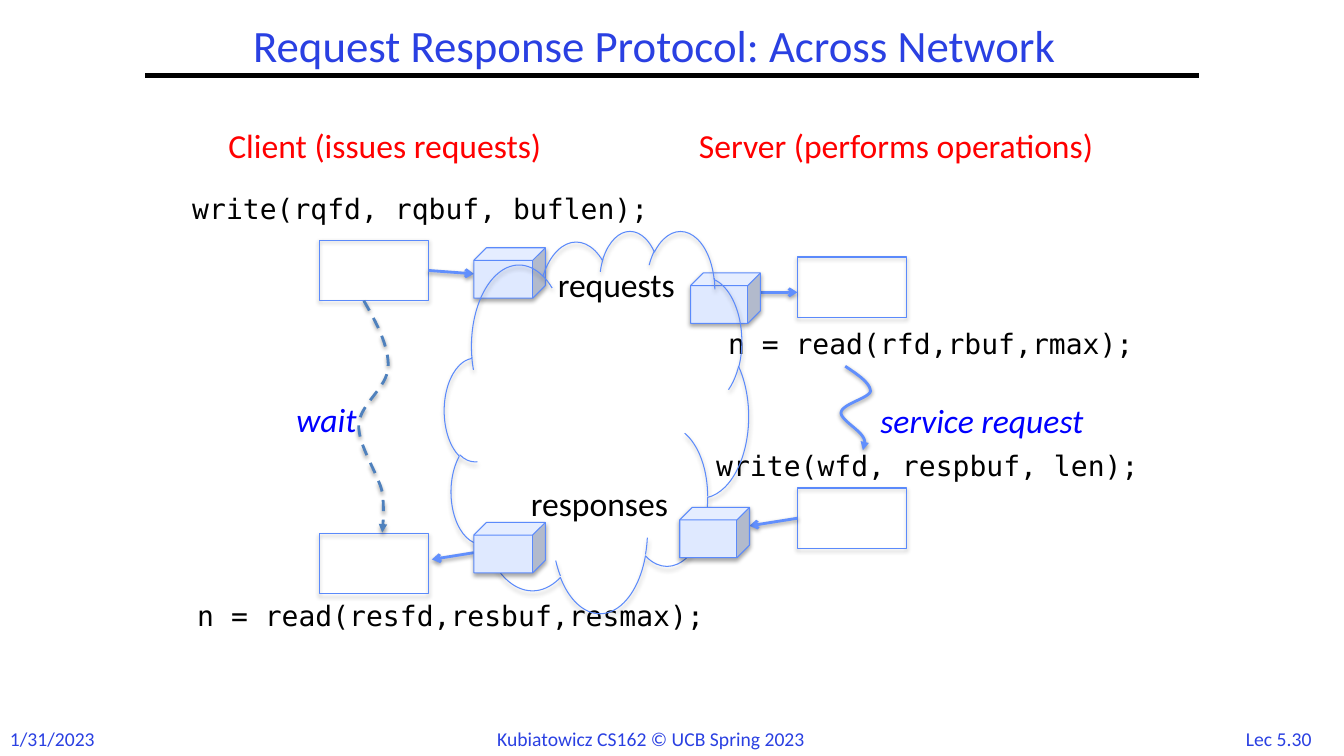
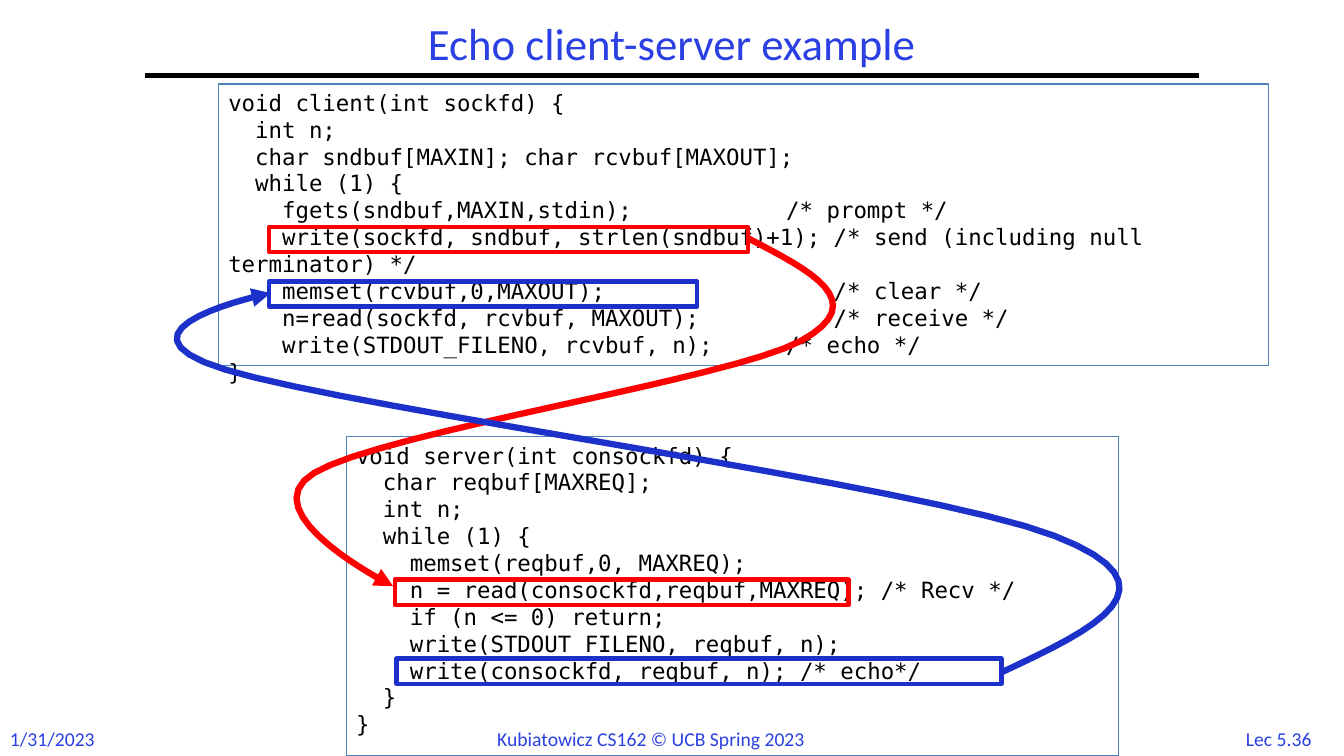
from dataclasses import dataclass
from typing import Optional

from lxml import etree
from pptx import Presentation
from pptx.dml.color import RGBColor
from pptx.enum.dml import MSO_LINE
from pptx.enum.shapes import MSO_CONNECTOR, MSO_SHAPE
from pptx.enum.text import MSO_ANCHOR, MSO_AUTO_SIZE, PP_ALIGN
from pptx.oxml.ns import qn
from pptx.util import Emu, Inches, Pt

LEFT, CENTER, RIGHT = PP_ALIGN.LEFT, PP_ALIGN.CENTER, PP_ALIGN.RIGHT
TOP, MIDDLE = MSO_ANCHOR.TOP, MSO_ANCHOR.MIDDLE
RECTANGLE, CUBE, CLOUD = MSO_SHAPE.RECTANGLE, MSO_SHAPE.CUBE, MSO_SHAPE.CLOUD
STRAIGHT = MSO_CONNECTOR.STRAIGHT
DASH = MSO_LINE.DASH
GROW = MSO_AUTO_SIZE.SHAPE_TO_FIT_TEXT

BLACK = RGBColor(0x00, 0x00, 0x00)
RED = RGBColor(0xFF, 0x00, 0x00)
TITLE_BLUE = RGBColor(0x2A, 0x40, 0xE2)
NOTE_BLUE = RGBColor(0x00, 0x00, 0xFF)
OUTLINE_BLUE = RGBColor(0x5B, 0x8A, 0xFB)
ARROW_BLUE = RGBColor(0x61, 0x8F, 0xFD)
STEEL_BLUE = RGBColor(0x4F, 0x81, 0xBD)
REPLY_BLUE = RGBColor(0x1C, 0x31, 0xCA)
PACKET_FILL = RGBColor(0xDF, 0xE9, 0xFF)

SANS = "Calibri"
MONO = "DejaVu Sans Mono"

SLIDE_WIDTH, SLIDE_HEIGHT = Inches(13.33), Inches(7.5)
GRID_ROWS = 90
CELL = SLIDE_HEIGHT / GRID_ROWS
CURVE_STEPS = 16
TITLE_ONLY = 5

Point = tuple[float, float]


@dataclass(frozen=True)
class Area:
    col: float
    row: float
    cols: float
    rows: float

    def emu(self) -> tuple[Emu, ...]:
        return tuple(grid(n) for n in (self.col, self.row, self.cols, self.rows))


@dataclass(frozen=True)
class TextStyle:
    size: float
    color: RGBColor
    font: str = SANS
    italic: bool = False


@dataclass(frozen=True)
class Label:
    text: str
    area: Area
    style: TextStyle
    align: PP_ALIGN = LEFT
    wrap: bool = False


@dataclass(frozen=True)
class Stroke:
    color: RGBColor
    width: float
    dash: Optional[MSO_LINE] = None
    head: Optional[str] = None


@dataclass(frozen=True)
class Shadow:
    opacity: int
    blur: float
    distance: float


@dataclass(frozen=True)
class Curve:
    points: tuple[Point, ...]
    stroke: Stroke
    shadow: Optional[Shadow] = None


TITLE_STYLE = TextStyle(32, TITLE_BLUE)
FOOTER_STYLE = TextStyle(14, TITLE_BLUE)
ROLE_STYLE = TextStyle(24, RED)
NOTE_STYLE = TextStyle(24, NOTE_BLUE, italic=True)
FLOW_STYLE = TextStyle(24, BLACK)
CALL_STYLE = TextStyle(20, BLACK, MONO)
CODE_STYLE = TextStyle(16, BLACK, MONO)

TITLE_RULE = Stroke(BLACK, 3)
OUTLINE = Stroke(OUTLINE_BLUE, 0.75)
CODE_OUTLINE = Stroke(STEEL_BLUE, 0.75)
MESSAGE = Stroke(ARROW_BLUE, 2, head="arrow")
SHAPE_SHADOW = Shadow(35, 3.1, 1.8)
LINE_SHADOW = Shadow(38, 3.1, 1.6)

REQUEST_PACKETS = (Area(56.4, 29.5, 8.5, 6), Area(82.2, 32.5, 8.3, 6))
RESPONSE_PACKETS = (Area(80.9, 60.4, 8.3, 6), Area(56.4, 62.2, 8.5, 6))
NETWORK = Area(52.9, 27.4, 36.2, 45.5)

CALLS = (
    Label("write(rqfd, rqbuf, buflen);", Area(21.7, 22.2, 58.9, 5.3), CALL_STYLE, wrap=True),
    Label("n = read(rfd,rbuf,rmax); ", Area(79.8, 38.3, 58.3, 5.3), CALL_STYLE, RIGHT, True),
    Label("write(wfd, respbuf, len); ", Area(79.8, 52.8, 58.9, 5.3), CALL_STYLE, RIGHT, True),
    Label("n = read(resfd,resbuf,resmax);", Area(22.3, 70.7, 65.8, 5.3), CALL_STYLE, wrap=True),
)
ROLES = (
    Label("Client (issues requests)", Area(26, 14.3, 44.6, 6), ROLE_STYLE),
    Label("Server (performs operations)", Area(82, 14.3, 54.1, 6), ROLE_STYLE),
)
NOTES = (
    Label("service request", Area(103.6, 47, 29.9, 6), NOTE_STYLE),
    Label("wait", Area(34.1, 46.9, 9.6, 6), NOTE_STYLE),
)
FLOWS = (
    Label("requests", Area(65.2, 30.8, 17.9, 6), FLOW_STYLE),
    Label("responses", Area(62, 56.9, 21.1, 6), FLOW_STYLE),
)
DELAYS = (
    Curve(((100.6, 43.6), (102.1, 44.6), (103.6, 45.6), (103.6, 46.6),
           (103.4, 47.4), (100.2, 48.1), (100.1, 49.1),
           (100, 49.9), (102.2, 51.1), (102.7, 52),
           (103.2, 52.7), (102.7, 53.6), (102.7, 53.6)),
          Stroke(ARROW_BLUE, 2, head="triangle"), LINE_SHADOW),
    Curve(((43.3, 35.8), (44.8, 38.4), (46.3, 41.2), (46.2, 43.7),
           (46.1, 46.2), (42.8, 48.1), (42.7, 50.6),
           (42.6, 53), (45, 56.4), (45.5, 58.6),
           (45.8, 60.7), (45.5, 63.4), (45.5, 63.4)),
          Stroke(STEEL_BLUE, 2, DASH, "triangle"), LINE_SHADOW),
)

CLIENT_CODE = """void client(int sockfd) {
  int n;
  char sndbuf[MAXIN]; char rcvbuf[MAXOUT];
  while (1) {
    fgets(sndbuf,MAXIN,stdin);\t\t    /* prompt */
    write(sockfd, sndbuf, strlen(sndbuf)+1); /* send (including null terminator) */
    memset(rcvbuf,0,MAXOUT);                 /* clear */
    n=read(sockfd, rcvbuf, MAXOUT);          /* receive */
    write(STDOUT_FILENO, rcvbuf, n);\t    /* echo */
}"""
SERVER_CODE = """void server(int consockfd) {
  char reqbuf[MAXREQ];
  int n;
  while (1) {
    memset(reqbuf,0, MAXREQ);
    n = read(consockfd,reqbuf,MAXREQ); /* Recv */
    if (n <= 0) return;
    write(STDOUT_FILENO, reqbuf, n);
    write(consockfd, reqbuf, n); /* echo*/
  }
}"""
LISTINGS = (
    (CLIENT_CODE, Area(26, 10, 125, 33.5)),
    (SERVER_CODE, Area(41.2, 52, 91.9, 37.9)),
)
SEND_PATH = Curve(
    ((88.9, 28.3), (96.4, 32.2), (103.9, 35.9), (95.3, 40.6),
     (86.8, 45.2), (45.6, 51.4), (37.4, 56.3),
     (29.4, 61.1), (46.8, 69.8), (46.8, 69.8)),
    Stroke(RED, 4.5, head="triangle"))
REPLY_PATH = Curve(
    ((119.3, 80), (130.2, 74.9), (141, 69.8), (125.5, 63.8),
     (110, 57.8), (42.4, 48.8), (26.8, 44),
     (11.2, 39.2), (32.2, 34.9), (32.2, 34.9)),
    Stroke(REPLY_BLUE, 4.5, head="triangle"))
EXCHANGES = (
    (SEND_PATH, RED, (Area(32, 27, 57, 3), Area(47, 69, 54, 3))),
    (REPLY_PATH, REPLY_BLUE, (Area(47.2, 78.4, 72, 3), Area(32, 33.5, 51, 3))),
)


def grid(cells: float) -> Emu:
    return Emu(round(cells * CELL))


def style_text(frame, style: TextStyle, align: PP_ALIGN = LEFT) -> None:
    for paragraph in frame.paragraphs:
        paragraph.alignment = align
        for run in paragraph.runs:
            run.font.name = style.font
            run.font.size = Pt(style.size)
            run.font.italic = style.italic
            run.font.color.rgb = style.color


def add_label(slide, label: Label) -> None:
    frame = slide.shapes.add_textbox(*label.area.emu()).text_frame
    frame.text = label.text
    frame.word_wrap = label.wrap
    frame.auto_size = GROW
    style_text(frame, label.style, label.align)


def apply_stroke(outlined, stroke: Stroke) -> None:
    line = outlined.line
    line.color.rgb = stroke.color
    line.width = Pt(stroke.width)
    if stroke.dash:
        line.dash_style = stroke.dash
    if stroke.head:
        outline = outlined._element.spPr.find(qn("a:ln"))
        etree.SubElement(outline, qn("a:tailEnd"), type=stroke.head)


def apply_shadow(outlined, shadow: Optional[Shadow]) -> None:
    effects = etree.SubElement(outlined._element.spPr, qn("a:effectLst"))
    if shadow:
        outer = etree.SubElement(
            effects, qn("a:outerShdw"), blurRad=str(Pt(shadow.blur)),
            dist=str(Pt(shadow.distance)), dir="5400000", rotWithShape="0")
        tint = etree.SubElement(outer, qn("a:srgbClr"), val=str(BLACK))
        etree.SubElement(tint, qn("a:alpha"), val=str(shadow.opacity * 1000))


def add_figure(slide, kind: MSO_SHAPE, area: Area, stroke: Stroke,
               fill: Optional[RGBColor] = None, shadow: Optional[Shadow] = None):
    figure = slide.shapes.add_shape(kind, *area.emu())
    if fill is None:
        figure.fill.background()
    else:
        figure.fill.solid()
        figure.fill.fore_color.rgb = fill
    apply_stroke(figure, stroke)
    apply_shadow(figure, shadow)
    return figure


def add_line(slide, start: Point, end: Point, stroke: Stroke,
             shadow: Optional[Shadow] = None):
    line = slide.shapes.add_connector(STRAIGHT, *(grid(n) for n in (*start, *end)))
    apply_stroke(line, stroke)
    apply_shadow(line, shadow)
    return line


def bezier(points: tuple[Point, ...], t: float) -> Point:
    weights = ((1 - t) ** 3, 3 * t * (1 - t) ** 2, 3 * t * t * (1 - t), t ** 3)
    x, y = (sum(w * p[axis] for w, p in zip(weights, points)) for axis in (0, 1))
    return x, y


def add_curve(slide, curve: Curve) -> None:
    sampled = [
        bezier(curve.points[first:first + 4], step / CURVE_STEPS)
        for first in range(0, len(curve.points) - 1, 3)
        for step in range(1, CURVE_STEPS + 1)
    ]
    start_x, start_y = curve.points[0]
    builder = slide.shapes.build_freeform(grid(start_x), grid(start_y))
    builder.add_line_segments([(grid(x), grid(y)) for x, y in sampled], close=False)
    route = builder.convert_to_shape()
    route.fill.background()
    apply_stroke(route, curve.stroke)
    apply_shadow(route, curve.shadow)


def add_lecture_slide(deck, title: str, area: Area, number: str):
    slide = deck.slides.add_slide(deck.slide_layouts[TITLE_ONLY])
    heading = slide.shapes.title
    heading.left, heading.top, heading.width, heading.height = area.emu()
    frame = heading.text_frame
    frame.text = title
    frame.word_wrap = True
    frame.vertical_anchor = MIDDLE
    frame.paragraphs[0].line_spacing = 0.9
    style_text(frame, TITLE_STYLE, CENTER)
    add_line(slide, (17.3, 9), (142.7, 9), TITLE_RULE)
    for text, col, cols, align in (
        (number, 146.4, 11.6, CENTER),
        ("1/31/2023", 0, 12.8, LEFT),
        ("Kubiatowicz CS162 © UCB Spring 2023", 58, 44.2, LEFT),
    ):
        add_label(slide, Label(text, Area(col, 85.9, cols, 4.1), FOOTER_STYLE, align))
    return slide


def add_packet(slide, area: Area) -> None:
    add_figure(slide, CUBE, area, OUTLINE, PACKET_FILL, SHAPE_SHADOW)


def build_protocol(deck) -> None:
    slide = add_lecture_slide(deck, "Request Response Protocol: Across Network",
                              Area(14.8, 0, 126.2, 11.5), "Lec 5.30")
    for label in CALLS + ROLES:
        add_label(slide, label)
    client_out, server_in, client_in, server_out = (
        add_figure(slide, RECTANGLE, Area(col, row, 13, 7.2), OUTLINE, shadow=SHAPE_SHADOW)
        for col, row in ((38, 28.6), (94.9, 30.6), (38, 63.5), (94.9, 58.1)))
    for start, end, source, side in (
        ((51, 32.2), (56.4, 32.6), client_out, 3),
        ((90.5, 34.8), (94.9, 34.8), None, 0),
        ((94.9, 61.7), (89.2, 62.6), server_out, 1),
        ((56.4, 65.8), (51.4, 66.6), None, 0),
    ):
        message = add_line(slide, start, end, MESSAGE, LINE_SHADOW)
        if source is not None:
            message.begin_connect(source, side)
    for delay, note in zip(DELAYS, NOTES):
        add_curve(slide, delay)
        add_label(slide, note)
    for packet in REQUEST_PACKETS:
        add_packet(slide, packet)
    add_figure(slide, CLOUD, NETWORK, OUTLINE, shadow=SHAPE_SHADOW)
    for packet in RESPONSE_PACKETS:
        add_packet(slide, packet)
    for label in FLOWS:
        add_label(slide, label)


def build_echo(deck) -> None:
    slide = add_lecture_slide(deck, "Echo client-server example",
                              Area(17.3, 2, 125.3, 7), "Lec 5.36")
    for code, area in LISTINGS:
        frame = add_figure(slide, RECTANGLE, area, CODE_OUTLINE).text_frame
        frame.text = code
        frame.word_wrap = True
        frame.vertical_anchor = TOP
        style_text(frame, CODE_STYLE)
    for route, color, marks in EXCHANGES:
        add_curve(slide, route)
        for mark in marks:
            add_figure(slide, RECTANGLE, mark, Stroke(color, 3))


def main() -> None:
    deck = Presentation()
    deck.slide_width, deck.slide_height = SLIDE_WIDTH, SLIDE_HEIGHT
    build_protocol(deck)
    build_echo(deck)
    deck.save("out.pptx")


if __name__ == "__main__":
    main()
